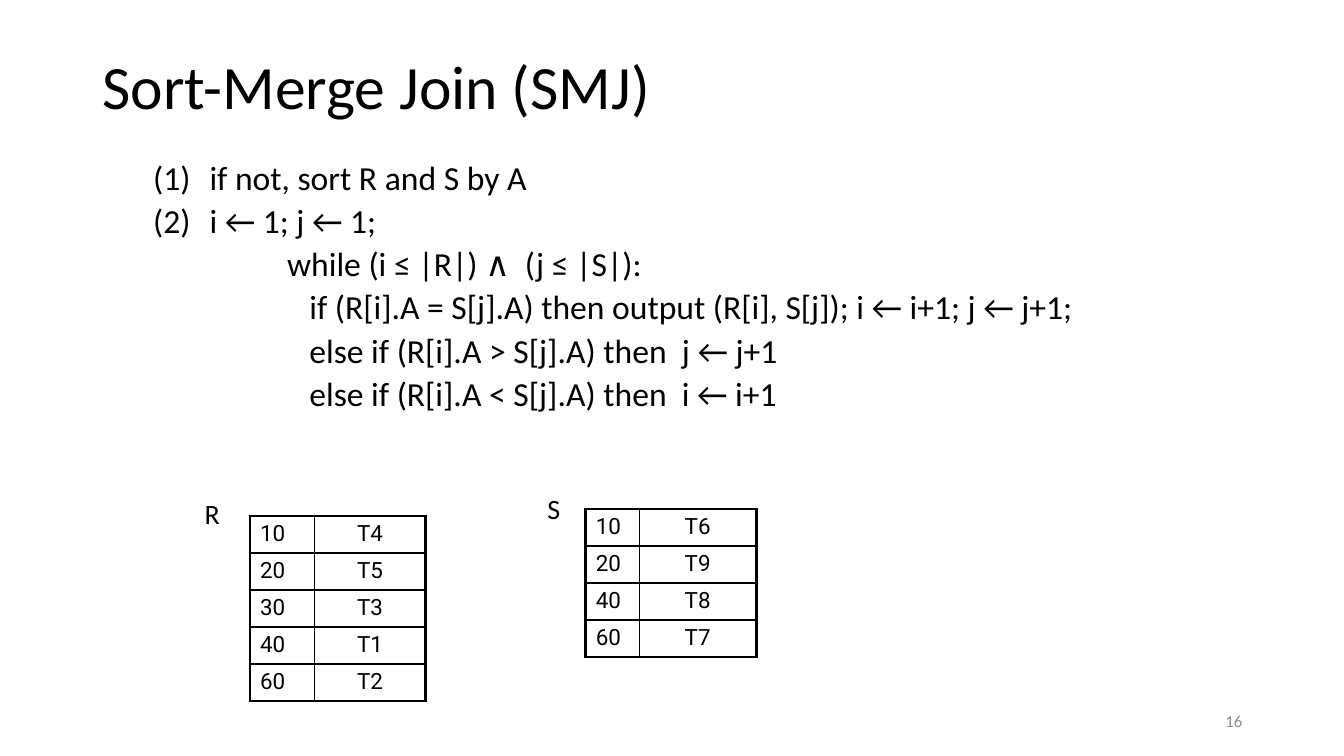
"""Build the Sort-Merge Join slide with its pseudocode and two sample relations."""
import pptx
import pptx.dml.color
import pptx.enum.text
import pptx.oxml.ns
import pptx.util
from lxml import etree
from pptx.util import Inches, Pt

ALIGN = pptx.enum.text.PP_ALIGN
ANCHOR = pptx.enum.text.MSO_ANCHOR
THEME = {
    "text_font": "Calibri", "table_font": "Roboto",
    "ink": "000000", "muted": "8C8C8C",
    "title": 44, "body": 24, "label": 20, "cell": 16, "number": 12,
    "thin": 1, "thick": 2.25,
}
TITLE = "Sort-Merge Join (SMJ)"
PAGE_NUMBER = "16"
STEPS = ["if not, sort R and S by A", "i ← 1; j ← 1;"]
LOOP = ["while (i ≤ |R|) ∧  (j ≤ |S|):"]
BRANCHES = [
    "if (R[i].A = S[j].A) then output (R[i], S[j]); i ← i+1; j ← j+1;",
    "else if (R[i].A > S[j].A) then  j ← j+1",
    "else if (R[i].A < S[j].A) then  i ← i+1",
]
RELATIONS = [
    {"name": "R", "label": (1.93, 4.88, 0.35, 0.44), "corner": (2.48, 5.12),
     "columns": (0.64, 1.1),
     "rows": [("10", "T4"), ("20", "T5"), ("30", "T3"), ("40", "T1"), ("60", "T2")]},
    {"name": "S", "label": (5.33, 4.83, 0.33, 0.44), "corner": (5.81, 5.05),
     "columns": (0.53, 1.16),
     "rows": [("10", "T6"), ("20", "T9"), ("40", "T8"), ("60", "T7")]},
]
ROW_HEIGHT = 0.36
STEP_INDENT, STEP_HANGING = 1.06, -0.56
LOOP_INDENT, BRANCH_INDENT = 1.83, 2.05


def style(paragraph, size, color="ink", font="text_font"):
    paragraph.font.size = Pt(THEME[size])
    paragraph.font.name = THEME[font]
    paragraph.font.color.rgb = pptx.dml.color.RGBColor.from_string(THEME[color])


def add_text(slide, box, text, size, color="ink", align=ALIGN.LEFT,
             anchor=ANCHOR.TOP, wrap=True):
    frame = slide.shapes.add_textbox(*map(Inches, box)).text_frame
    frame.word_wrap = wrap
    frame.vertical_anchor = anchor
    paragraph = frame.paragraphs[0]
    paragraph.text = text
    paragraph.alignment = align
    style(paragraph, size, color)
    return frame


def indent(paragraph, left, hanging=0, numbered=False):
    properties = paragraph._p.get_or_add_pPr()
    properties.set("marL", str(Inches(left)))
    properties.set("indent", str(Inches(hanging)))
    if numbered:
        bullet = etree.SubElement(properties, pptx.oxml.ns.qn("a:buAutoNum"))
        bullet.set("type", "arabicParenBoth")


def add_pseudocode(slide, box):
    lines = [(text, STEP_INDENT, STEP_HANGING, True) for text in STEPS]
    lines += [(text, LOOP_INDENT, 0, False) for text in LOOP]
    lines += [(text, BRANCH_INDENT, 0, False) for text in BRANCHES]
    frame = slide.shapes.add_textbox(*map(Inches, box)).text_frame
    frame.word_wrap = True
    for index, (text, left, hanging, numbered) in enumerate(lines):
        paragraph = frame.add_paragraph() if index else frame.paragraphs[0]
        paragraph.text = text
        indent(paragraph, left, hanging, numbered)
        paragraph.line_spacing = 0.9
        paragraph.space_before = Pt(5 if index else 0)
        style(paragraph, "body")


def set_borders(cell, outer_sides):
    properties = cell._tc.get_or_add_tcPr()
    for position, side in enumerate("LRTB"):
        width = THEME["thick" if side in outer_sides else "thin"]
        line = etree.Element(pptx.oxml.ns.qn(f"a:ln{side}"), w=str(Pt(width)))
        fill = etree.SubElement(line, pptx.oxml.ns.qn("a:solidFill"))
        etree.SubElement(fill, pptx.oxml.ns.qn("a:srgbClr"), val=THEME["ink"])
        properties.insert(position, line)


def add_relation(slide, relation):
    add_text(slide, relation["label"], relation["name"], "label", wrap=False)
    rows, columns = relation["rows"], relation["columns"]
    size = (sum(columns), ROW_HEIGHT * len(rows))
    table = slide.shapes.add_table(
        len(rows), len(columns), *map(Inches, relation["corner"] + size)).table
    table.first_row = table.horz_banding = False
    for column, width in zip(table.columns, columns):
        column.width = Inches(width)
    for row_index, values in enumerate(rows):
        table.rows[row_index].height = Inches(ROW_HEIGHT)
        for column_index, value in enumerate(values):
            cell = table.cell(row_index, column_index)
            cell.fill.background()
            paragraph = cell.text_frame.paragraphs[0]
            paragraph.text = value
            paragraph.alignment = ALIGN.CENTER if column_index else ALIGN.LEFT
            style(paragraph, "cell", font="table_font")
            outer_sides = "R" if column_index else "L"
            outer_sides += "T" if row_index == 0 else ""
            outer_sides += "B" if row_index == len(rows) - 1 else ""
            set_borders(cell, outer_sides)


def main():
    presentation = pptx.Presentation()
    presentation.slide_width = Inches(13.33)
    presentation.slide_height = Inches(7.5)
    slide = presentation.slides.add_slide(presentation.slide_layouts[6])
    title = add_text(slide, (0.92, 0.4, 11.5, 0.97), TITLE, "title",
                     anchor=ANCHOR.MIDDLE)
    title.paragraphs[0].line_spacing = 0.9
    add_pseudocode(slide, (0.92, 1.55, 11.5, 3))
    add_text(slide, (9.42, 6.95, 3, 0.4), PAGE_NUMBER, "number", "muted",
             ALIGN.RIGHT, ANCHOR.MIDDLE)
    for relation in RELATIONS:
        add_relation(slide, relation)
    presentation.save("out.pptx")


if __name__ == "__main__":
    main()
